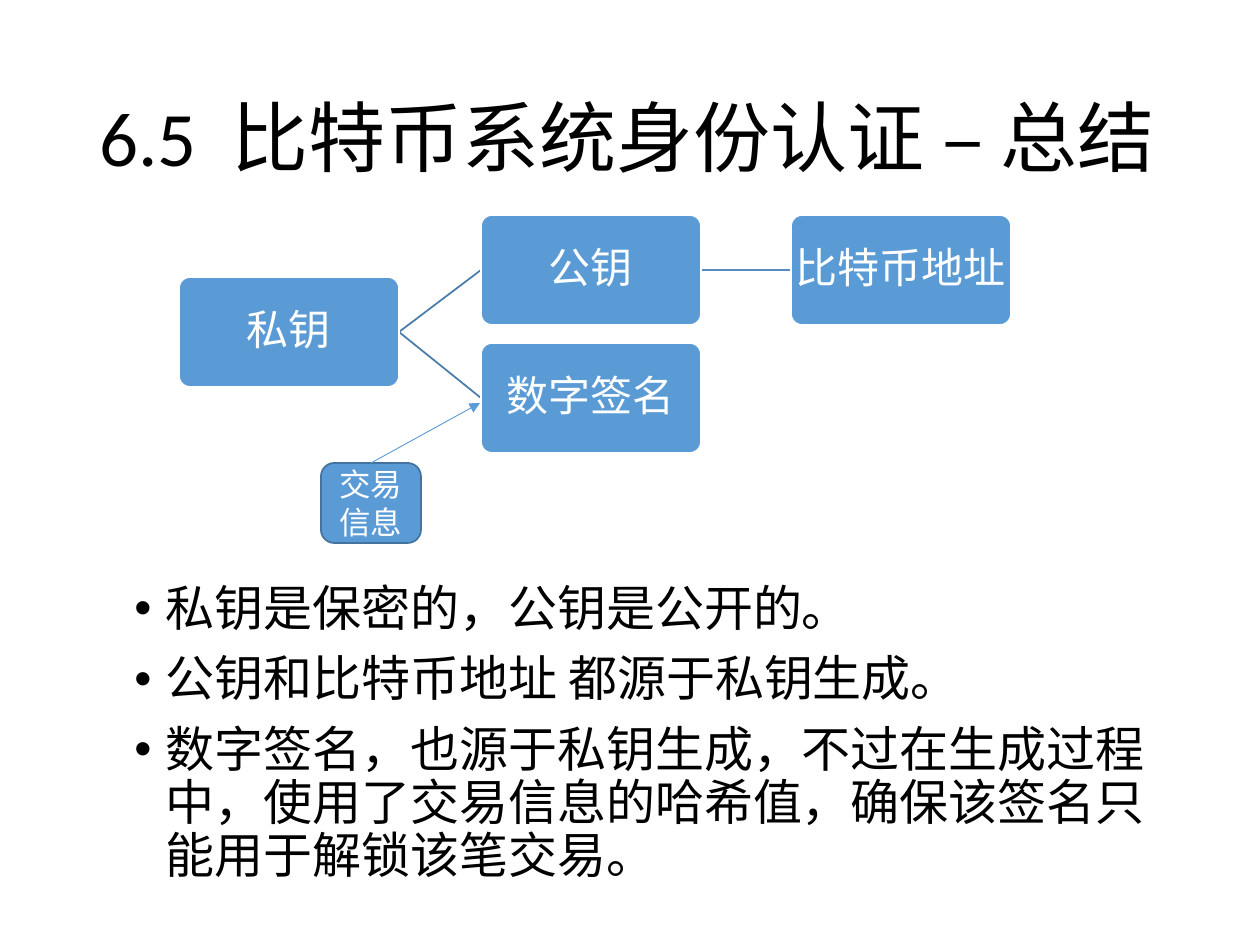
import pptx
import pptx.dml.color
import pptx.enum.shapes
import pptx.enum.text
import pptx.oxml
import pptx.oxml.ns
import pptx.util

RGB = pptx.dml.color.RGBColor
BLACK = RGB(0x00, 0x00, 0x00)
WHITE = RGB(0xFF, 0xFF, 0xFF)
BLUE = RGB(0x5B, 0x9B, 0xD5)
EDGE = RGB(0x43, 0x73, 0x9E)
FORK = RGB(0x49, 0x7C, 0xAB)
LINK = RGB(0x53, 0x8D, 0xC1)

SHAPE = pptx.enum.shapes.MSO_SHAPE.ROUNDED_RECTANGLE
LEFT = pptx.enum.text.PP_ALIGN.LEFT
MID = pptx.enum.text.PP_ALIGN.CENTER
TOP = pptx.enum.text.MSO_ANCHOR.TOP
CENTER = pptx.enum.text.MSO_ANCHOR.MIDDLE
FONT = "Calibri"
NODE = (220, 110)


def px(num):
    """Turn pixels into EMU."""
    return pptx.util.Emu(round(num * 914400 / 126))


def add_tag(host, tag, **attrs):
    """Append a drawing element with its attributes."""
    item = pptx.oxml.parse_xml(f"<{tag} {pptx.oxml.ns.nsdecls('a')}/>")
    for key, val in attrs.items():
        item.set(key, val)
    host.append(item)


def write(frame, *paras, size, color=BLACK, align=LEFT, anchor=CENTER,
          lead=0.9, before=0, inset=None, wrap=True, bullet=False):
    """Fill a text frame; each paragraph is a string or a list of (text, spacing)."""
    frame.word_wrap = wrap
    frame.vertical_anchor = anchor
    if inset is not None:
        frame.margin_left = frame.margin_right = px(inset)
        frame.margin_top = frame.margin_bottom = px(inset)
    for i, runs in enumerate(paras):
        para = frame.add_paragraph() if i else frame.paragraphs[0]
        para.alignment = align
        para.line_spacing = lead
        para.space_before = pptx.util.Pt(before)
        if bullet:
            props = para._p.get_or_add_pPr()
            props.set("marL", "228600")
            props.set("indent", "-228600")
            add_tag(props, "a:buFont", typeface="Arial")
            add_tag(props, "a:buChar", char="•")
        for text, gap in [(runs, 0)] if isinstance(runs, str) else runs:
            run = para.add_run()
            run.text = text
            run.font.size = pptx.util.Pt(size)
            run.font.name = FONT
            run.font.color.rgb = color
            if gap:
                run.font._element.set("spc", str(gap * 100))


def add_box(slide, x, y, w, h, text, line, **form):
    """Draw a rounded blue box with centred white text."""
    box = slide.shapes.add_shape(SHAPE, px(x), px(y), px(w), px(h))
    box.shadow.inherit = False
    box.fill.solid()
    box.fill.fore_color.rgb = BLUE
    box.line.color.rgb = line
    box.line.width = pptx.util.Pt(1)
    write(box.text_frame, text, color=WHITE, align=MID, **form)
    return box


def add_line(slide, x1, y1, x2, y2, color, width=1, arrow=False):
    """Draw a straight line, with an arrowhead at its end if asked."""
    kind = pptx.enum.shapes.MSO_CONNECTOR.STRAIGHT
    line = slide.shapes.add_connector(kind, px(x1), px(y1), px(x2), px(y2))
    line.line.color.rgb = color
    line.line.width = pptx.util.Pt(width)
    if arrow:
        add_tag(line.line._get_or_add_ln(), "a:tailEnd", type="triangle")
    add_tag(line._element.spPr, "a:effectLst")


def add_title(slide, x, y, w, h):
    """Place the heading."""
    box = slide.shapes.add_textbox(px(x), px(y), px(w), px(h))
    write(box.text_frame, [("6.5", 0), (" ", 10), ("比特币系统身份认证 – 总结", 0)], size=44)


def add_tree(slide, x, y):
    """Place the key diagram relative to its top left corner."""
    wide, high = NODE
    mid = high // 2
    nodes = {"私钥": (0, 62), "公钥": (302, 0),
             "比特币地址": (612, 0), "数字签名": (302, 128)}
    spots = {name: (x + dx, y + dy) for name, (dx, dy) in nodes.items()}
    links = [("私钥", "公钥", FORK), ("公钥", "比特币地址", LINK),
             ("私钥", "数字签名", FORK)]
    for start, end, color in links:
        (x1, y1), (x2, y2) = spots[start], spots[end]
        add_line(slide, x1 + wide, y1 + mid, x2, y2 + mid, color)
    for name, (left, top) in spots.items():
        box = add_box(slide, left, top, wide, high, name, WHITE,
                      size=24, inset=2, wrap=False)
        box.adjustments[0] = 0.1
    add_box(slide, x + 142, y + 248, 100, 80, "交易信息", EDGE, size=18, lead=1)
    add_line(slide, x + 192, y + 248, x + 301, y + 188, BLUE, 0.5, True)


def add_notes(slide, x, y, w, h):
    """Place the bulleted summary."""
    box = slide.shapes.add_textbox(px(x), px(y), px(w), px(h))
    write(box.text_frame,
          "私钥是保密的，公钥是公开的。",
          "公钥和比特币地址 都源于私钥生成。",
          "数字签名，也源于私钥生成，不过在生成过程中，使用了交易信息的哈希值，"
          "确保该签名只能用于解锁该笔交易。",
          size=28, anchor=TOP, before=10, bullet=True)


def main():
    """Build the slide and save it."""
    deck = pptx.Presentation()
    deck.slide_width, deck.slide_height = px(1260), px(945)
    slide = deck.slides.add_slide(deck.slide_layouts[6])
    add_title(slide, 87, 50, 1087, 183)
    add_tree(slide, 179, 215)
    add_notes(slide, 122, 578, 1066, 338)
    deck.save("out.pptx")


if __name__ == "__main__":
    main()
